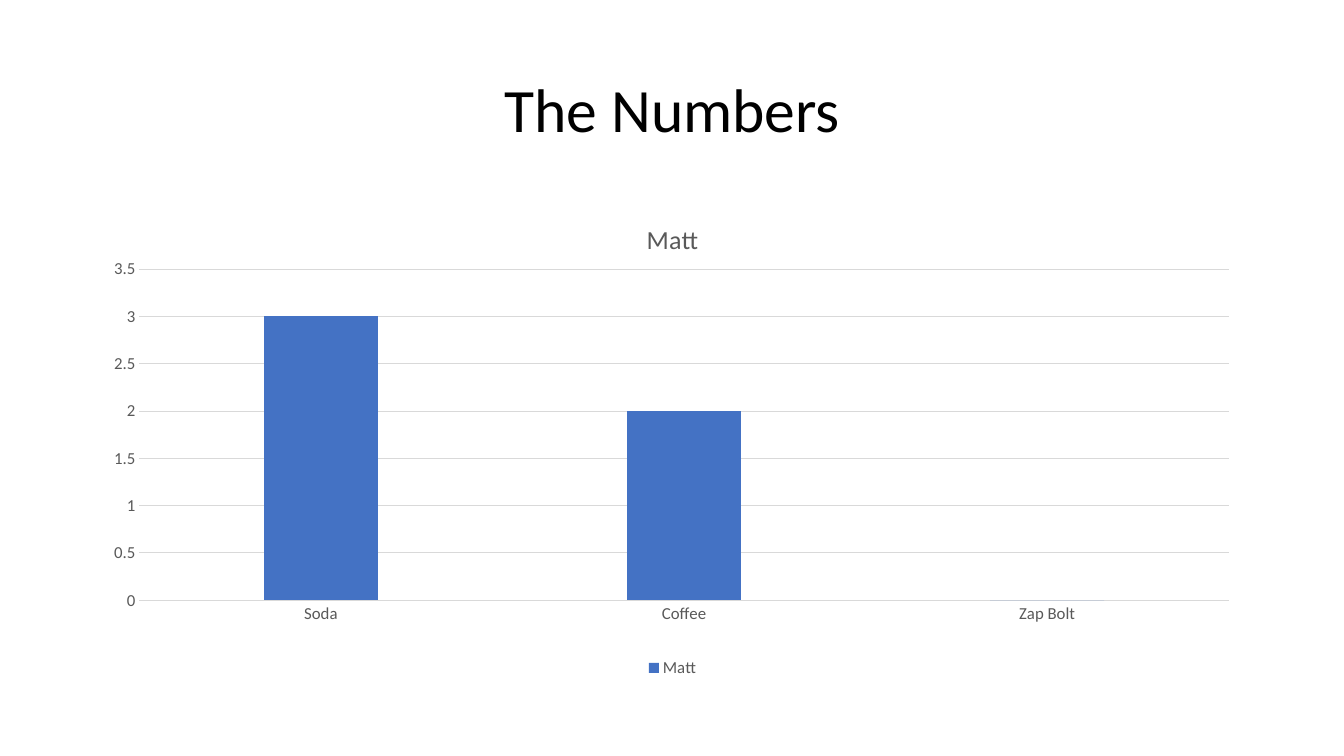
"""Build a slide with a centred title and a column chart of drink counts."""
from dataclasses import dataclass
from typing import Any

from lxml import etree
from pptx import Presentation
from pptx.chart.data import CategoryChartData
from pptx.dml.color import RGBColor
from pptx.enum.chart import XL_CHART_TYPE, XL_LEGEND_POSITION, XL_TICK_MARK
from pptx.enum.text import MSO_ANCHOR, PP_ALIGN
from pptx.oxml.ns import qn
from pptx.util import Emu, Pt

COLUMN_CLUSTERED = XL_CHART_TYPE.COLUMN_CLUSTERED
LEGEND_BOTTOM = XL_LEGEND_POSITION.BOTTOM
NO_TICKS = XL_TICK_MARK.NONE
MIDDLE = MSO_ANCHOR.MIDDLE
CENTER = PP_ALIGN.CENTER
EMU_PER_PIXEL = 914400 / 100.8


@dataclass(frozen=True)
class Theme:
    """Colours and type sizes of the slide."""

    font: str = "Calibri"
    background: str = "FFFFFF"
    title: str = "000000"
    label: str = "595959"
    rule: str = "D9D9D9"
    column: str = "4472C4"
    title_size: float = 44
    chart_title_size: float = 18.6
    label_size: float = 12
    rule_width: float = 0.75


@dataclass(frozen=True)
class Box:
    """A rectangle in pixels."""

    left: int
    top: int
    width: int
    height: int

    def emu(self) -> tuple[Emu, Emu, Emu, Emu]:
        """Return the rectangle in EMU."""
        return (pixels(self.left), pixels(self.top),
                pixels(self.width), pixels(self.height))


@dataclass(frozen=True)
class DrinkCount:
    """One category of the chart and its value."""

    drink: str
    count: int


THEME = Theme()
SLIDE_SIZE = (1344, 756)
TITLE_BOX = Box(93, 40, 1159, 146)
CHART_BOX = Box(93, 202, 1159, 480)
PLOT_AREA = {"x": 0.04, "y": 0.14, "w": 0.94, "h": 0.69}
PERSON = "Matt"
DRINK_COUNTS = [DrinkCount("Soda", 3), DrinkCount("Coffee", 2),
                DrinkCount("Zap Bolt", 0)]


def pixels(length: int) -> Emu:
    """Convert pixels to EMU."""
    return Emu(round(length * EMU_PER_PIXEL))


def style_font(font: Any, size: float, color: str) -> None:
    """Set the typeface, size and colour of a font."""
    font.name = THEME.font
    font.size = Pt(size)
    font.bold = False
    font.color.rgb = RGBColor.from_string(color)


def style_rule(line: Any) -> None:
    """Draw a line as a thin chart rule."""
    line.color.rgb = RGBColor.from_string(THEME.rule)
    line.width = Pt(THEME.rule_width)


def add_title(slide: Any, text: str, box: Box) -> None:
    """Add the slide title, centred in its box."""
    frame = slide.shapes.add_textbox(*box.emu()).text_frame
    frame.word_wrap = True
    frame.vertical_anchor = MIDDLE
    paragraph = frame.paragraphs[0]
    paragraph.alignment = CENTER
    paragraph.line_spacing = 0.9
    run = paragraph.add_run()
    run.text = text
    style_font(run.font, THEME.title_size, THEME.title)


def style_axis(axis: Any) -> None:
    """Give an axis its label font and hide its tick marks."""
    axis.major_tick_mark = NO_TICKS
    axis.minor_tick_mark = NO_TICKS
    style_font(axis.tick_labels.font, THEME.label_size, THEME.label)


def place_plot(chart: Any, fractions: dict[str, float]) -> None:
    """Fix the inner plot area as fractions of the chart."""
    plot_area = chart.plots[0]._element.getparent()
    for layout in plot_area.findall(qn("c:layout")):
        plot_area.remove(layout)
    layout = etree.Element(qn("c:layout"))
    manual = etree.SubElement(layout, qn("c:manualLayout"))
    settings = {"layoutTarget": "inner", "xMode": "edge", "yMode": "edge", **fractions}
    for name, value in settings.items():
        etree.SubElement(manual, qn(f"c:{name}")).set("val", str(value))
    plot_area.insert(0, layout)


def add_drink_chart(slide: Any, person: str, counts: list[DrinkCount], box: Box) -> None:
    """Add the column chart of drinks for one person."""
    data = CategoryChartData()
    data.categories = [item.drink for item in counts]
    data.add_series(person, [item.count for item in counts])
    chart = slide.shapes.add_chart(COLUMN_CLUSTERED, *box.emu(), data).chart
    style_font(chart.font, THEME.label_size, THEME.label)

    run = chart.chart_title.text_frame.paragraphs[0].add_run()
    run.text = person
    style_font(run.font, THEME.chart_title_size, THEME.label)
    chart.chart_title.include_in_layout = False

    chart.has_legend = True
    chart.legend.position = LEGEND_BOTTOM
    chart.legend.include_in_layout = False
    style_font(chart.legend.font, THEME.label_size, THEME.label)

    style_axis(chart.category_axis)
    style_rule(chart.category_axis.format.line)
    value_axis = chart.value_axis
    style_axis(value_axis)
    value_axis.minimum_scale, value_axis.maximum_scale = 0, 3.5
    value_axis.major_unit = 0.5
    value_axis.format.line.fill.background()
    style_rule(value_axis.major_gridlines.format.line)

    plot = chart.plots[0]
    plot.vary_by_categories = False
    plot.gap_width, plot.overlap = 219, -27
    fill = plot.series[0].format.fill
    fill.solid()
    fill.fore_color.rgb = RGBColor.from_string(THEME.column)
    place_plot(chart, PLOT_AREA)


def main() -> None:
    """Build and save the presentation."""
    presentation = Presentation()
    presentation.slide_width, presentation.slide_height = map(pixels, SLIDE_SIZE)
    slide = presentation.slides.add_slide(presentation.slide_layouts[6])
    slide.background.fill.solid()
    slide.background.fill.fore_color.rgb = RGBColor.from_string(THEME.background)
    add_title(slide, "The Numbers", TITLE_BOX)
    add_drink_chart(slide, PERSON, DRINK_COUNTS, CHART_BOX)
    presentation.save("out.pptx")


main()
